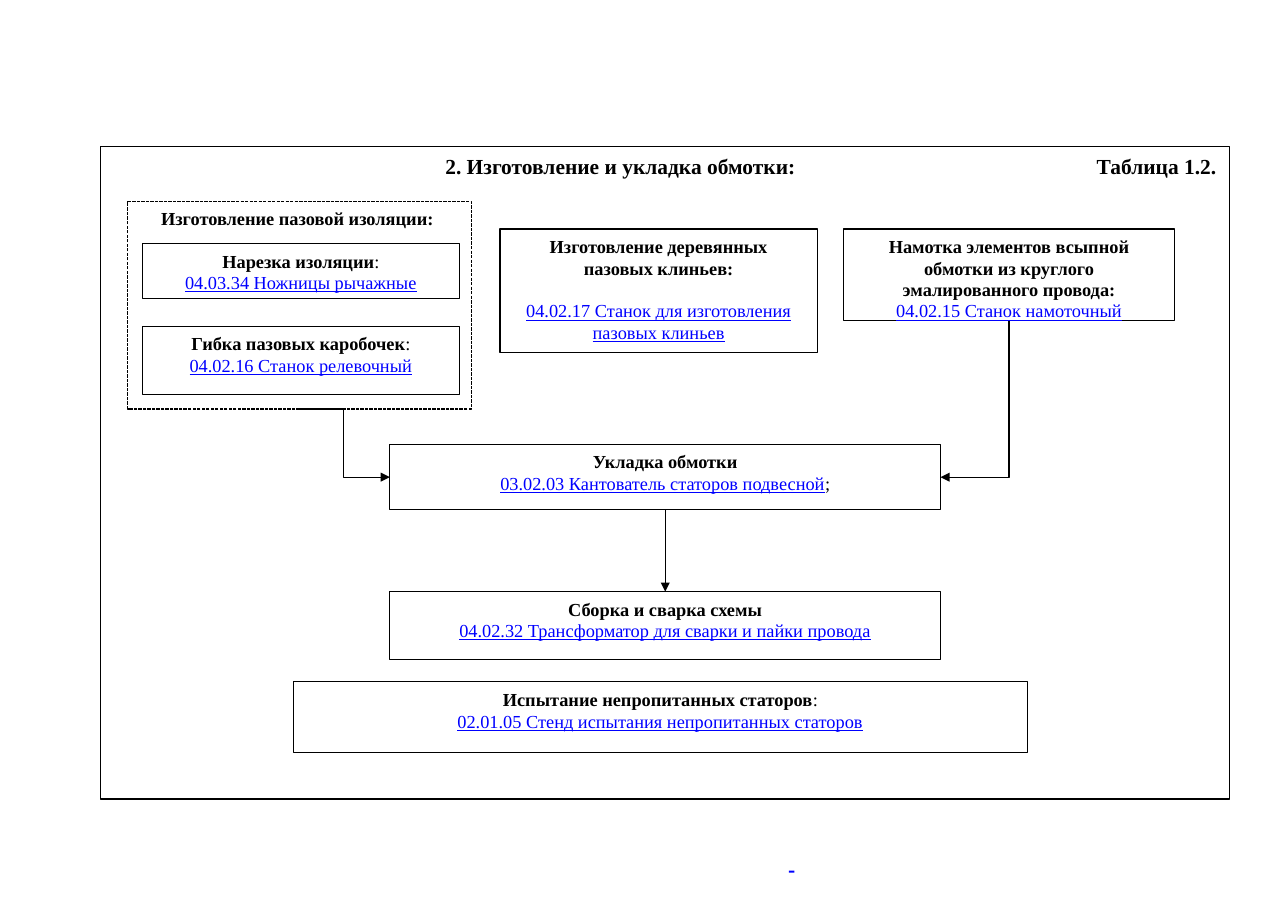
from dataclasses import dataclass

from lxml import etree
from pptx import Presentation
from pptx.dml.color import RGBColor
from pptx.enum.dml import MSO_LINE
from pptx.enum.shapes import MSO_CONNECTOR, MSO_SHAPE
from pptx.enum.text import MSO_ANCHOR, PP_ALIGN
from pptx.oxml.ns import qn
from pptx.shapes.autoshape import Shape
from pptx.shapes.connector import Connector
from pptx.slide import Slide
from pptx.util import Cm, Pt

RECTANGLE = MSO_SHAPE.RECTANGLE
STRAIGHT = MSO_CONNECTOR.STRAIGHT
ELBOW = MSO_CONNECTOR.ELBOW
DASHED = MSO_LINE.SQUARE_DOT
CENTER = PP_ALIGN.CENTER
TOP = MSO_ANCHOR.TOP

FONT = "Times New Roman"
BLACK = "000000"
BLUE = "0000FF"
LINE_WIDTH = Pt(0.75)
TEXT_MARGIN = Cm(0.5)
TEXT_TOP = Cm(0.16)


@dataclass(frozen=True)
class Area:
    left: float
    top: float
    width: float
    height: float


@dataclass(frozen=True)
class Heading:
    text: str
    area: Area
    size: int


@dataclass(frozen=True)
class Step:
    title: str
    equipment: str
    area: Area
    title_end: str = ""
    equipment_end: str = ""
    gap: int = 0


@dataclass(frozen=True)
class Arrow:
    start: tuple[float, float]
    end: tuple[float, float]
    kind: MSO_CONNECTOR = STRAIGHT
    bend: int = 50000


FRAME = Area(2.31, 3.38, 26.04, 15.04)
INSULATION_GROUP = Area(2.95, 4.65, 7.92, 4.78)
FOOTER_MARK = Area(18.19, 20.07, 0.13, 0.05)

HEADINGS = [
    Heading("2. Изготовление и укладка обмотки:", Area(9.31, 3.52, 10, 0.66), 14),
    Heading("Таблица 1.2.", Area(25.07, 3.52, 3.2, 0.66), 14),
    Heading("Изготовление пазовой изоляции:", Area(3.11, 4.78, 7.5, 0.58), 12),
]

STEPS = [
    Step("Нарезка изоляции", "04.03.34 Ножницы рычажные",
         Area(3.28, 5.61, 7.32, 1.27), title_end=":"),
    Step("Гибка пазовых каробочек", "04.02.16 Станок релевочный",
         Area(3.28, 7.52, 7.32, 1.57), title_end=":"),
    Step("Изготовление деревянных пазовых клиньев:",
         "04.02.17 Станок для изготовления пазовых клиньев",
         Area(11.53, 5.28, 7.32, 2.84), gap=14),
    Step("Намотка элементов всыпной обмотки из круглого эмалированного провода:",
         "04.02.15 Станок намоточный", Area(19.46, 5.28, 7.62, 2.11)),
    Step("Укладка обмотки", "03.02.03 Кантователь статоров подвесной",
         Area(8.99, 10.24, 12.7, 1.5), equipment_end=";"),
    Step("Сборка и сварка схемы", "04.02.32 Трансформатор для сварки и пайки провода",
         Area(8.99, 13.64, 12.7, 1.57)),
    Step("Испытание непропитанных статоров", "02.01.05 Стенд испытания непропитанных статоров",
         Area(6.76, 15.72, 16.94, 1.63), title_end=":"),
]

ARROWS = [
    Arrow((23.27, 7.39), (21.69, 11), ELBOW, 0),
    Arrow((6.86, 9.43), (8.99, 11), ELBOW),
    Arrow((15.34, 11.74), (15.34, 13.64)),
]


def color(value: str) -> RGBColor:
    return RGBColor.from_string(value)


def lengths(area: Area) -> tuple[Cm, Cm, Cm, Cm]:
    return Cm(area.left), Cm(area.top), Cm(area.width), Cm(area.height)


def add_box(page: Slide, area: Area) -> Shape:
    box = page.shapes.add_shape(RECTANGLE, *lengths(area))
    box.shadow.inherit = False
    box.fill.background()
    box.line.color.rgb = color(BLACK)
    box.line.width = LINE_WIDTH
    return box


def prepare_text(box: Shape, side: int, top: int) -> None:
    frame = box.text_frame
    frame.word_wrap = True
    frame.vertical_anchor = TOP
    frame.margin_left = frame.margin_right = side
    frame.margin_top = top
    frame.margin_bottom = 0


def add_span(para, text: str, size: int = 12, ink: str = BLACK,
             bold: bool = False, underline: bool = False) -> None:
    span = para.add_run()
    span.text = text
    span.font.name = FONT
    span.font.size = Pt(size)
    span.font.bold = bold
    span.font.underline = underline
    span.font.color.rgb = color(ink)


def add_heading(page: Slide, heading: Heading) -> None:
    box = page.shapes.add_textbox(*lengths(heading.area))
    prepare_text(box, 0, 0)
    para = box.text_frame.paragraphs[0]
    para.alignment = CENTER
    add_span(para, heading.text, heading.size, bold=True)


def add_step(page: Slide, step: Step) -> None:
    box = add_box(page, step.area)
    prepare_text(box, TEXT_MARGIN, TEXT_TOP)
    title = box.text_frame.paragraphs[0]
    equipment = box.text_frame.add_paragraph()
    for para in (title, equipment):
        para.alignment = CENTER
        para.line_spacing = Pt(14)
    equipment.space_before = Pt(step.gap)
    add_span(title, step.title, bold=True)
    add_span(equipment, step.equipment, ink=BLUE, underline=True)
    if step.title_end:
        add_span(title, step.title_end)
    if step.equipment_end:
        add_span(equipment, step.equipment_end)


def add_arrow(page: Slide, arrow: Arrow) -> Connector:
    start_x, start_y = map(Cm, arrow.start)
    end_x, end_y = map(Cm, arrow.end)
    connector = page.shapes.add_connector(arrow.kind, start_x, start_y, end_x, end_y)
    connector.line.color.rgb = color(BLACK)
    connector.line.width = LINE_WIDTH
    properties = connector.element.spPr
    etree.SubElement(properties.find(qn("a:ln")), qn("a:tailEnd"), type="triangle")
    etree.SubElement(properties, qn("a:effectLst"))
    if arrow.kind == ELBOW:
        adjustments = properties.find(qn("a:prstGeom")).find(qn("a:avLst"))
        etree.SubElement(adjustments, qn("a:gd"), name="adj1", fmla=f"val {arrow.bend}")
    return connector


def main() -> None:
    deck = Presentation()
    deck.slide_width = Cm(29.7)
    deck.slide_height = Cm(21)
    page = deck.slides.add_slide(deck.slide_layouts[6])

    mark = add_box(page, FOOTER_MARK)
    mark.fill.solid()
    mark.fill.fore_color.rgb = color(BLUE)
    mark.line.fill.background()

    add_box(page, FRAME)
    add_box(page, INSULATION_GROUP).line.dash_style = DASHED
    for heading in HEADINGS:
        add_heading(page, heading)
    for step in STEPS:
        add_step(page, step)
    for arrow in ARROWS:
        add_arrow(page, arrow)
    deck.save("out.pptx")


if __name__ == "__main__":
    main()
